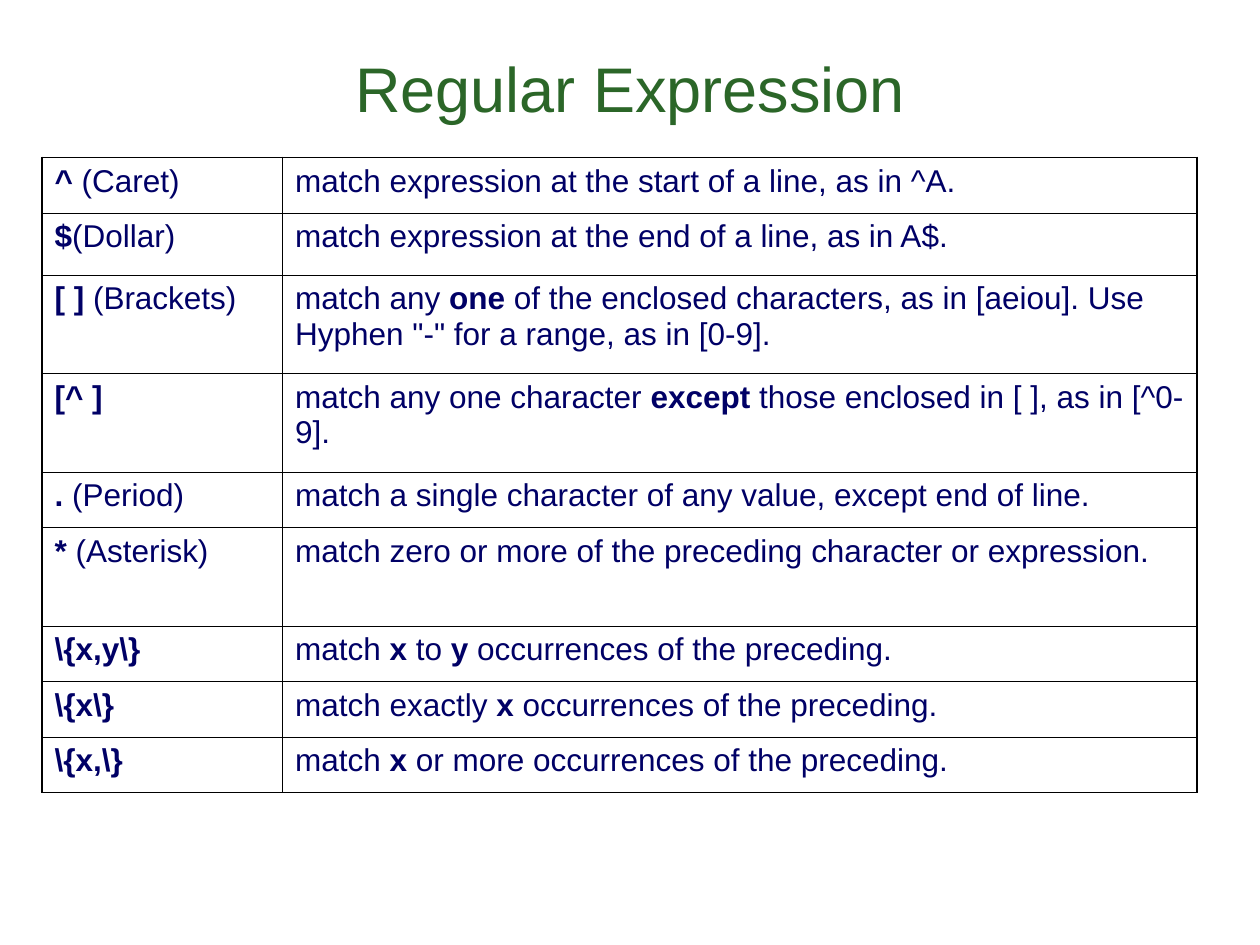
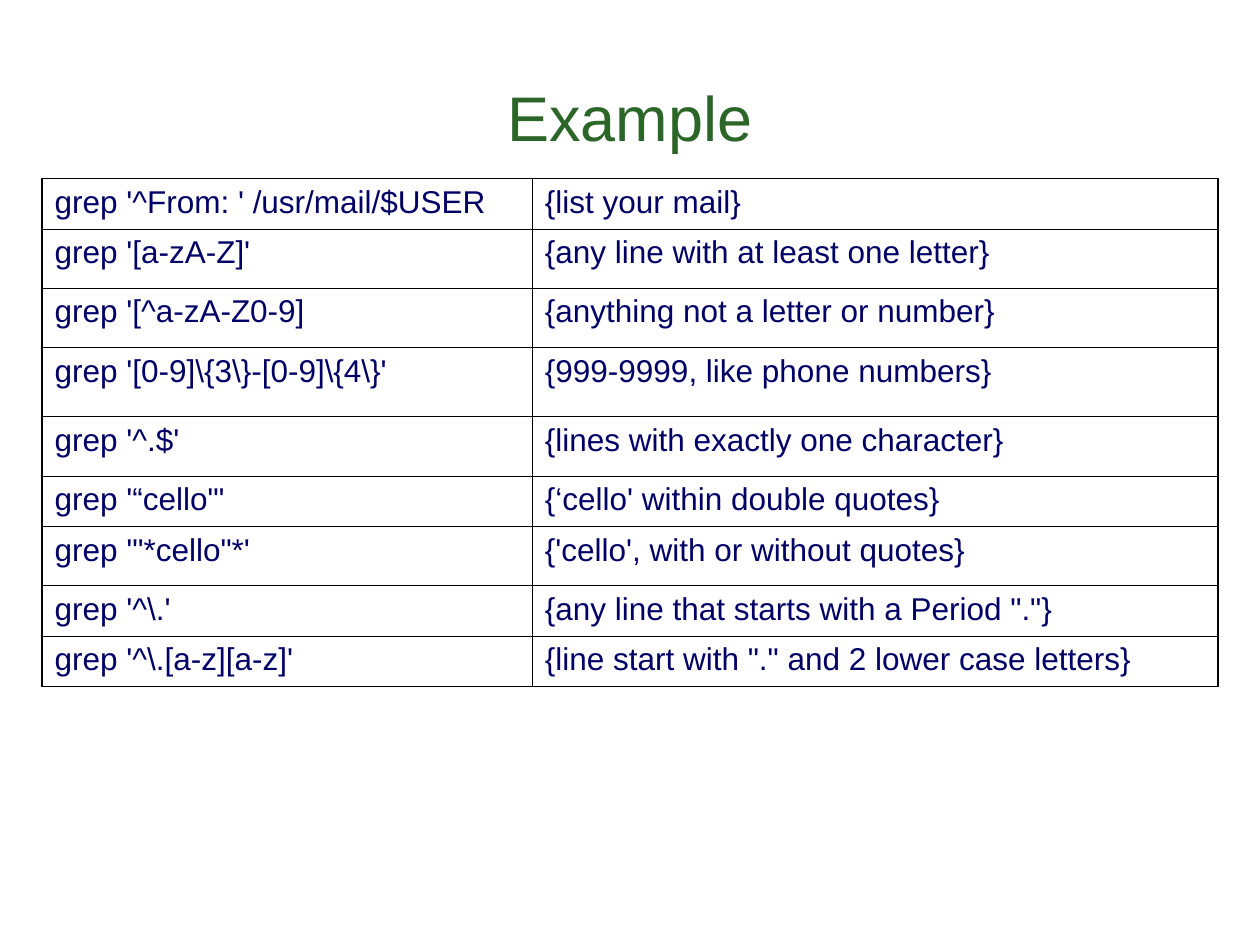
from pptx import Presentation
from pptx.dml.color import RGBColor
from pptx.enum.text import MSO_ANCHOR, MSO_AUTO_SIZE, PP_ALIGN
from pptx.oxml.ns import qn
from pptx.util import Inches, Pt
from lxml import etree

MIDDLE = MSO_ANCHOR.MIDDLE
NO_AUTOFIT = MSO_AUTO_SIZE.NONE
CENTER = PP_ALIGN.CENTER
LEFT = PP_ALIGN.LEFT

FONT = "Arial"
GREEN, NAVY, BLACK = "2B6628", "000066", "000000"
OUTER_LINE, INNER_LINE = 1.08, 0.45
UNIT = Inches(10) // 120  # the slide is a grid of 120 columns by 90 rows
TITLE_ONLY = 5

# Text between bars is bold.
SYMBOLS = [
    ("|^| (Caret)", "match expression at the start of a line, as in ^A."),
    ("|$|(Dollar)", "match expression at the end of a line, as in A$."),
    ("|[ ]| (Brackets)", "match any |one| of the enclosed characters, as in [aeiou]. "
                         "Use Hyphen \"-\" for a range, as in [0-9]."),
    ("|[^ ]|", "match any one character |except| those enclosed in [ ], as in [^0-9]."),
    ("|. |(Period)", "match a single character of any value, except end of line."),
    ("|* |(Asterisk)", "match zero or more of the preceding character or expression."),
    (r"|\{x,y\}|", "match |x| to |y| occurrences of the preceding."),
    (r"|\{x\}|", "match exactly |x| occurrences of the preceding."),
    (r"|\{x,\}|", "match |x| or more occurrences of the preceding."),
]

COMMANDS = [
    ("grep '^From: ' /usr/mail/$USER", "{list your mail}"),
    ("grep '[a-zA-Z]'", "{any line with at least one letter}"),
    ("grep '[^a-zA-Z0-9]", "{anything not a letter or number}"),
    (r"grep '[0-9]\{3\}-[0-9]\{4\}'", "{999-9999, like phone numbers}"),
    ("grep '^.$'", "{lines with exactly one character}"),
    ("grep '“cello\"'", "{‘cello' within double quotes}"),
    ("grep '\"*cello\"*'", "{'cello', with or without quotes}"),
    (r"grep '^\.'", "{any line that starts with a Period \".\"}"),
    (r"grep '^\.[a-z][a-z]'", "{line start with \".\" and 2 lower case letters}"),
]


def color(value):
    return RGBColor.from_string(value)


def grid(box):
    return [round(length * UNIT) for length in box]


def write(frame, text, size, fill, align=LEFT):
    """Write one paragraph, with the parts between bars in bold."""
    para = frame.paragraphs[0]
    para.alignment = align
    for index, part in enumerate(text.split("|")):
        if part:
            span = para.add_run()
            span.text = part
            span.font.name = FONT
            span.font.size = Pt(size)
            span.font.bold = index % 2 == 1
            span.font.color.rgb = color(fill)


def add_title(page, text, box):
    title = page.shapes.title
    title.left, title.top, title.width, title.height = grid(box)
    frame = title.text_frame
    frame.auto_size = NO_AUTOFIT
    frame.vertical_anchor = MIDDLE
    write(frame, text, size=36, fill=GREEN, align=CENTER)


def draw_borders(cell, outer_sides):
    properties = cell._tc.get_or_add_tcPr()
    for side in "LRTB":
        width = OUTER_LINE if side in outer_sides else INNER_LINE
        line = etree.SubElement(properties, qn(f"a:ln{side}"), w=str(int(Pt(width))))
        solid = etree.SubElement(line, qn("a:solidFill"))
        etree.SubElement(solid, qn("a:srgbClr"), val=BLACK)


def add_ruled_table(page, rows, box, column_weights, row_weights):
    """Fill the box with a table whose columns and rows share it by weight."""
    left, top, width, height = grid(box)
    frame = page.shapes.add_table(len(rows), len(column_weights), left, top, width, height)
    table = frame.table
    table.first_row = table.horz_banding = False
    for column, weight in zip(table.columns, column_weights):
        column.width = round(width * weight / sum(column_weights))
    for row, weight in zip(table.rows, row_weights):
        row.height = round(height * weight / sum(row_weights))

    last_row, last_column = len(rows) - 1, len(column_weights) - 1
    for r, texts in enumerate(rows):
        for c, text in enumerate(texts):
            cell = table.cell(r, c)
            edges = {"L": c == 0, "R": c == last_column, "T": r == 0, "B": r == last_row}
            draw_borders(cell, [side for side, outer in edges.items() if outer])
            cell.fill.background()
            write(cell.text_frame, text, size=18, fill=NAVY)


def add_table_page(deck, title, title_rows, rows, box, column_weights, row_weights):
    page = deck.slides.add_slide(deck.slide_layouts[TITLE_ONLY])
    add_title(page, title, (6, 3.6, 108, title_rows))
    add_ruled_table(page, rows, box, column_weights, row_weights)


def main():
    deck = Presentation()
    deck.slide_width, deck.slide_height = 120 * UNIT, 90 * UNIT
    add_table_page(deck, "Regular Expression", 9.4, SYMBOLS, (4, 15, 110, 60.5),
                   (191, 726), (44, 49, 78, 78, 44, 78, 44, 44, 44))
    add_table_page(deck, "Example", 15, COMMANDS, (4, 17, 112, 48.4),
                   (389, 544), (40, 47, 47, 55, 47, 40, 47, 40, 40))
    deck.save("out.pptx")


if __name__ == "__main__":
    main()
